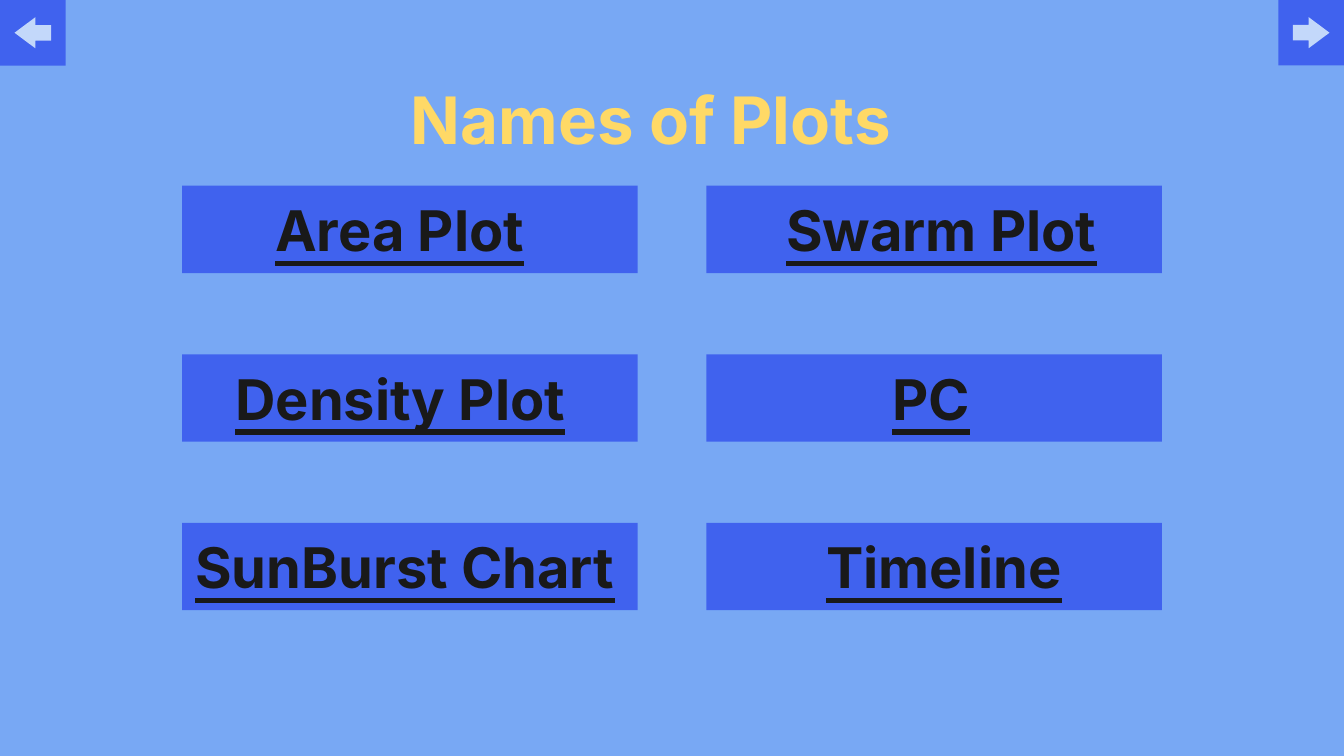
import dataclasses

import pptx
import pptx.dml.color
import pptx.enum.shapes
import pptx.enum.text
import pptx.util

Pt = pptx.util.Pt
Shape = pptx.enum.shapes.MSO_SHAPE
Anchor = pptx.enum.text.MSO_ANCHOR


@dataclasses.dataclass(frozen=True)
class Theme:
    font: str = "Inter"
    sky: str = "78A8F4"
    blue: str = "4062EE"
    pale: str = "C3D8FA"
    yellow: str = "FFD966"
    ink: str = "191919"
    title_size: float = 35
    label_size: float = 30


def rgb(code):
    return pptx.dml.color.RGBColor.from_string(code)


class PlotMenu:
    """Draws titles, plot buttons and page arrows on one page."""

    def __init__(self, page, theme):
        self.page = page
        self.theme = theme
        page.background.fill.solid()
        page.background.fill.fore_color.rgb = rgb(theme.sky)

    def label(self, box, text, size, color, indent, anchor, underline=None):
        frame = box.text_frame
        frame.text = text
        frame.word_wrap = True
        frame.auto_size = pptx.enum.text.MSO_AUTO_SIZE.NONE
        frame.vertical_anchor = anchor
        frame.margin_left = frame.margin_right = Pt(7.2)
        frame.margin_top = frame.margin_bottom = Pt(7.2)
        para = frame.paragraphs[0]
        para.alignment = pptx.enum.text.PP_ALIGN.LEFT
        properties = para._p.get_or_add_pPr()
        properties.set("marL", str(Pt(indent)))
        properties.set("indent", "0")
        font = para.runs[0].font
        font.name = self.theme.font
        font.size = Pt(size)
        font.bold = True
        font.underline = underline
        font.color.rgb = rgb(color)

    def title(self, text, left, top, width, height, indent):
        box = self.page.shapes.title
        box.left, box.top, box.width, box.height = map(Pt, (left, top, width, height))
        self.label(box, text, self.theme.title_size, self.theme.yellow, indent, Anchor.TOP)

    def shape(self, kind, left, top, width, height, color):
        box = self.page.shapes.add_shape(kind, Pt(left), Pt(top), Pt(width), Pt(height))
        box.shadow.inherit = False
        box.fill.solid()
        box.fill.fore_color.rgb = rgb(color)
        box.line.fill.background()
        return box

    def button(self, text, left, top, indent):
        box = self.shape(Shape.RECTANGLE, left, top, 244, 46.8, self.theme.blue)
        self.label(box, text, self.theme.label_size, self.theme.ink, indent,
                   Anchor.MIDDLE, underline=True)

    def page_arrow(self, left, rotation):
        side, width, height = 35.1, 19.6, 16.6
        tile = self.shape(Shape.RECTANGLE, left, 0, side, side, self.theme.blue)
        arrow = self.shape(Shape.RIGHT_ARROW, left + (side - width) / 2,
                           (side - height) / 2, width, height, self.theme.pale)
        arrow.adjustments[0] = 0.5
        arrow.adjustments[1] = 0.67
        tile.rotation = arrow.rotation = rotation


def main():
    deck = pptx.Presentation()
    deck.slide_width, deck.slide_height = Pt(720), Pt(405)
    menu = PlotMenu(deck.slides.add_slide(deck.slide_layouts[5]), Theme())
    menu.title("Names of Plots", 56.9, 35.3, 607, 45.4, indent=156)
    rows = [
        (("Area Plot", 42.7), ("Swarm Plot", 35.6)),
        (("Density Plot", 21.4), ("PC", 92.5)),
        (("SunBurst Chart", 0), ("Timeline", 57)),
    ]
    for row, labels in enumerate(rows):
        for column, (text, indent) in enumerate(labels):
            menu.button(text, 97.6 + 280.9 * column, 99.5 + 90.3 * row, indent)
    menu.page_arrow(0, rotation=180)
    menu.page_arrow(684.9, rotation=0)
    deck.save("out.pptx")


if __name__ == "__main__":
    main()
